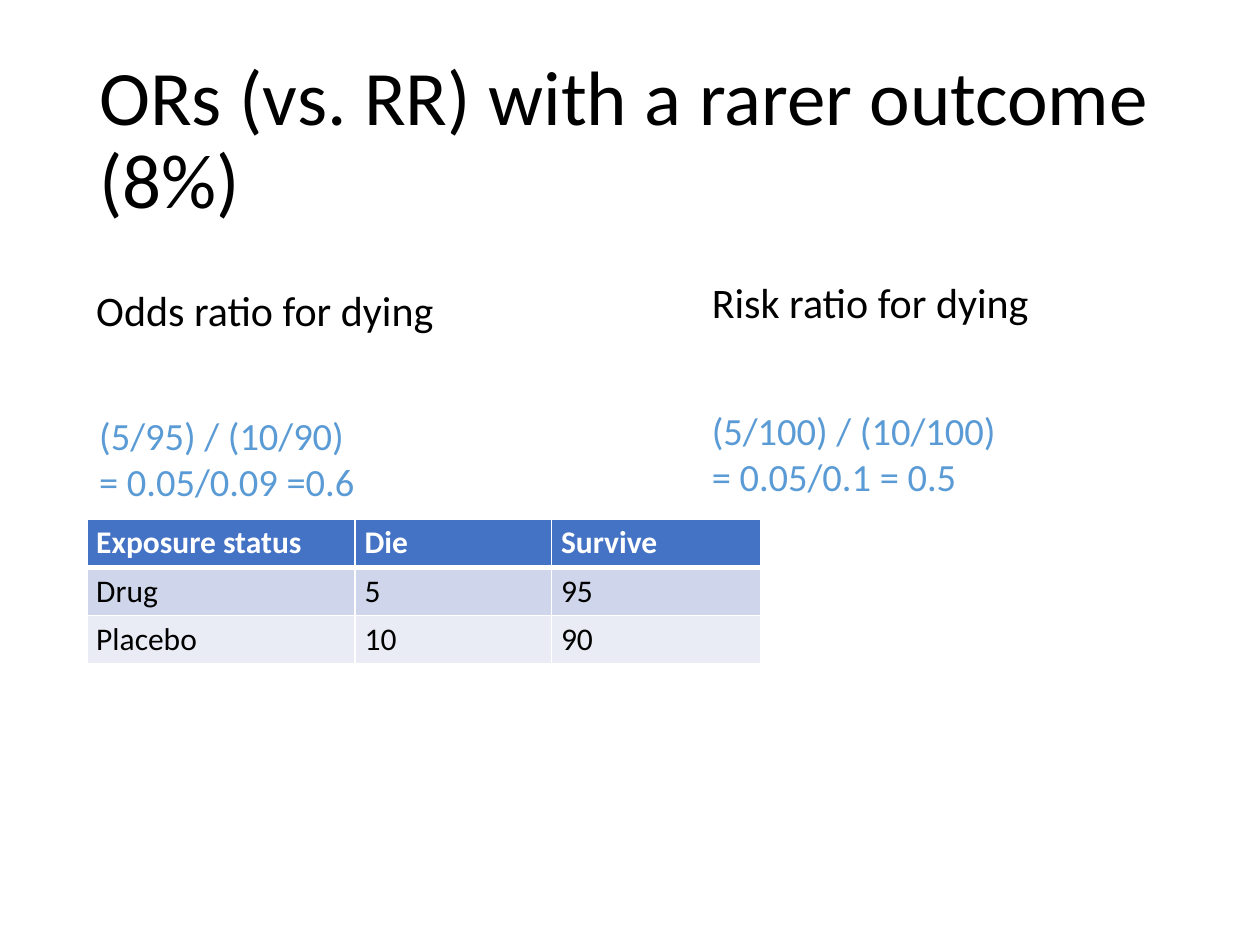
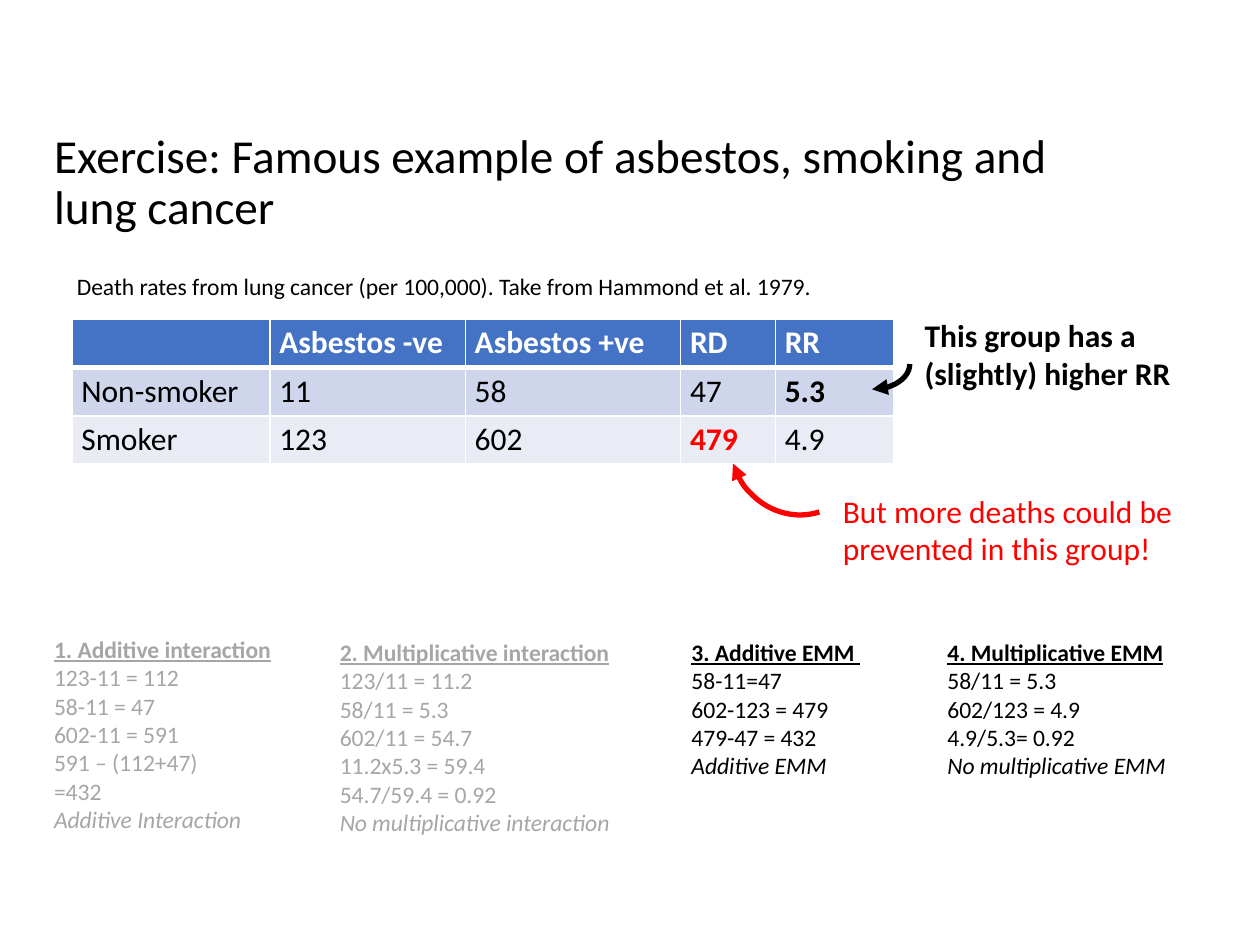
import pptx
import pptx.dml.color
import pptx.enum.shapes
import pptx.enum.text
import pptx.oxml
import pptx.util
from pptx.oxml.ns import nsdecls

Cm, Pt = pptx.util.Cm, pptx.util.Pt
Anchor = pptx.enum.text.MSO_ANCHOR

FONT = "Calibri"
COLORS = {
    "black": "000000", "white": "FFFFFF", "blue": "5B9BD5", "gray": "A6A6A6",
    "red": "FF0000", "head": "4472C4", "odd": "CFD5EA", "even": "E9EBF5",
}
TIGHT = (0.19, 0.1)     # side and top insets, in cm
WIDE = (0.25, 0.13)

# Content: places are (left, top, width, height) in cm
RATIOS = {
    "title": ("ORs (vs. RR) with a rarer outcome (8%)", (1.75, 1.02, 21.9, 3.68), 44),
    "heads": [
        ("Odds ratio for dying", (1.75, 5.74, 10.52, 2.44), TIGHT),
        ("Risk ratio for dying", (14.1, 5.56, 11.12, 2.44), WIDE),
    ],
    "sums": [
        ("(5/95) / (10/90)\n= 0.05/0.09 =0.6", (1.75, 8.18, 5.75, 2.13)),
        ("(5/100) / (10/100)\n= 0.05/0.1 = 0.5", (14.1, 8.08, 6.3, 2.13)),
    ],
    "rows": [
        ("Exposure status", "Die", "Survive"),
        ("Drug", "5", "95"),
        ("Placebo", "10", "90"),
    ],
    "grid": (1.75, 10.46, (5.41, 3.96, 4.22)),
}
CANCER = {
    "title": ("Exercise: Famous example of asbestos, smoking and lung cancer",
              (0.84, 2.31, 21.9, 2.77), 27),
    "source": ("Death rates from lung cancer (per 100,000). Take from Hammond et al. 1979.",
               (1.3, 5.36, 21.03, 6.02)),
    "rows": [
        ("", "Asbestos -ve", "Asbestos +ve", "RD", "RR"),
        ("Non-smoker", "11", "58", "47", "5.3"),
        ("Smoker", "123", "602", "479", "4.9"),
    ],
    "grid": (1.45, 6.43, (3.99, 3.94, 4.34, 1.91, 2.39)),
    "marks": {"5.3": "black", "479": "red"},
    "notes": [
        ("This group has a (slightly) higher RR", (18.39, 6.25, 6.73, 1.8), "black", True),
        ("But more deaths could be prevented in this group!",
         (16.74, 9.78, 7.37, 1.8), "red", False),
    ],
    "arcs": [
        ((17.07, 6.58, 1.02, 1.52), 90, "black"),
        ((14.71, 7.47, 2.72, 2.92), 162.2, "red"),
    ],
    "steps": [
        ("1. Additive interaction\n123-11 = 112\n58-11 = 47\n602-11 = 591\n"
         "591 – (112+47)\n=432\nAdditive Interaction", (0.84, 12.67, 4.93, 4.29), "gray"),
        ("2. Multiplicative interaction\n123/11 = 11.2\n58/11 = 5.3\n602/11 = 54.7\n"
         "11.2x5.3 = 59.4\n54.7/59.4 = 0.92\nNo multiplicative interaction",
         (6.6, 12.73, 6.43, 4.88), "gray"),
        ("3. Additive EMM \n58-11=47\n602-123 = 479\n479-47 = 432\nAdditive EMM",
         (13.69, 12.73, 6.43, 3.15), "black"),
        ("4. Multiplicative EMM\n58/11 = 5.3\n602/123 = 4.9\n4.9/5.3= 0.92\n"
         "No multiplicative EMM", (18.85, 12.73, 5.38, 3.15), "black"),
    ],
}


def tint(name):
    return pptx.dml.color.RGBColor.from_string(COLORS[name])


def write(frame, text, size=18, color="black", bold=False, steps=False,
          space=None, before=None):
    """Fill a frame, one paragraph a line; steps marks the first and last line."""
    lines = text.split("\n")
    for i, line in enumerate(lines):
        para = frame.paragraphs[0] if i == 0 else frame.add_paragraph()
        para.alignment = pptx.enum.text.PP_ALIGN.LEFT
        if space:
            para.line_spacing = space
        if before is not None:
            para.space_before = Pt(before)
        run = para.add_run()
        run.text = line
        font = run.font
        font.name, font.size = FONT, Pt(size)
        font.color.rgb = tint(color)
        font.bold = bold or (steps and i == 0)
        font.underline = steps and i == 0
        font.italic = steps and i == len(lines) - 1


def place(shape, spot):
    shape.left, shape.top, shape.width, shape.height = map(Cm, spot)


def setup(frame, inset=WIDE, anchor=Anchor.TOP):
    frame.word_wrap = True
    frame.auto_size = pptx.enum.text.MSO_AUTO_SIZE.NONE
    frame.vertical_anchor = anchor
    frame.margin_left = frame.margin_right = Cm(inset[0])
    frame.margin_top = frame.margin_bottom = Cm(inset[1])


def add_title(slide, text, spot, size):
    place(slide.shapes.title, spot)
    frame = slide.shapes.title.text_frame
    setup(frame, anchor=Anchor.MIDDLE)
    write(frame, text, size=size, space=0.9, before=0)


def add_head(shape, text, spot, inset):
    place(shape, spot)
    setup(shape.text_frame, inset)
    write(shape.text_frame, text, size=24, space=0.9, before=10)
    props = shape.text_frame.paragraphs[0]._p.get_or_add_pPr()
    props.set("marL", "0")
    props.set("indent", "0")
    props.append(pptx.oxml.parse_xml(f"<a:buNone {nsdecls('a')}/>"))


def add_text(slide, text, spot, **style):
    box = slide.shapes.add_textbox(*map(Cm, spot))
    setup(box.text_frame)
    write(box.text_frame, text, **style)


def edge(cell, row):
    """White cell borders, thick below the head row."""
    props = cell._tc.get_or_add_tcPr()
    for i, side in enumerate("LRTB"):
        thick = (row, side) in ((0, "B"), (1, "T"))
        props.insert(i, pptx.oxml.parse_xml(
            f'<a:ln{side} {nsdecls("a")} w="{Pt(3 if thick else 1)}"><a:solidFill>'
            f'<a:srgbClr val="{COLORS["white"]}"/></a:solidFill></a:ln{side}>'))


def add_grid(slide, rows, left, top, widths, marks={}):
    high = 0.95
    table = slide.shapes.add_table(
        len(rows), len(widths), Cm(left), Cm(top),
        Cm(sum(widths)), Cm(high * len(rows))).table
    for col, width in zip(table.columns, widths):
        col.width = Cm(width)
    for r, row in enumerate(rows):
        table.rows[r].height = Cm(high)
        for c, text in enumerate(row):
            cell = table.cell(r, c)
            cell.margin_left = cell.margin_right = Cm(TIGHT[0])
            cell.margin_top = cell.margin_bottom = Cm(TIGHT[1])
            cell.fill.solid()
            cell.fill.fore_color.rgb = tint(("head", "odd", "even")[r])
            edge(cell, r)
            write(cell.text_frame, text, bold=r == 0 or text in marks,
                  color="white" if r == 0 else marks.get(text, "black"))


def add_arc(slide, spot, turn, color):
    arc = slide.shapes.add_shape(pptx.enum.shapes.MSO_SHAPE.ARC, *map(Cm, spot))
    arc.rotation = turn
    arc.shadow.inherit = False
    arc.fill.background()
    arc.line.color.rgb = tint(color)
    arc.line.width = Pt(3)
    arc.line._get_or_add_ln().append(
        pptx.oxml.parse_xml(f'<a:tailEnd {nsdecls("a")} type="triangle"/>'))


def main():
    deck = pptx.Presentation()
    deck.slide_width, deck.slide_height = Cm(25.4), Cm(19.05)

    # Odds ratio and risk ratio
    slide = deck.slides.add_slide(deck.slide_layouts.get_by_name("Two Content"))
    add_title(slide, *RATIOS["title"])
    for i, head in enumerate(RATIOS["heads"], 1):
        add_head(slide.placeholders[i], *head)
    add_grid(slide, RATIOS["rows"], *RATIOS["grid"])
    for text, spot in RATIOS["sums"]:
        add_text(slide, text, spot, size=22, color="blue")

    # Asbestos, smoking and lung cancer
    slide = deck.slides.add_slide(deck.slide_layouts.get_by_name("Title Only"))
    add_title(slide, *CANCER["title"])
    add_text(slide, *CANCER["source"], size=13.5)
    add_grid(slide, CANCER["rows"], *CANCER["grid"], marks=CANCER["marks"])
    for text, spot, color in CANCER["steps"]:
        add_text(slide, text, spot, size=13.5, color=color, steps=True)
    for text, spot, color, bold in CANCER["notes"]:
        add_text(slide, text, spot, color=color, bold=bold)
    for arc in CANCER["arcs"]:
        add_arc(slide, *arc)

    deck.save("out.pptx")


if __name__ == "__main__":
    main()
